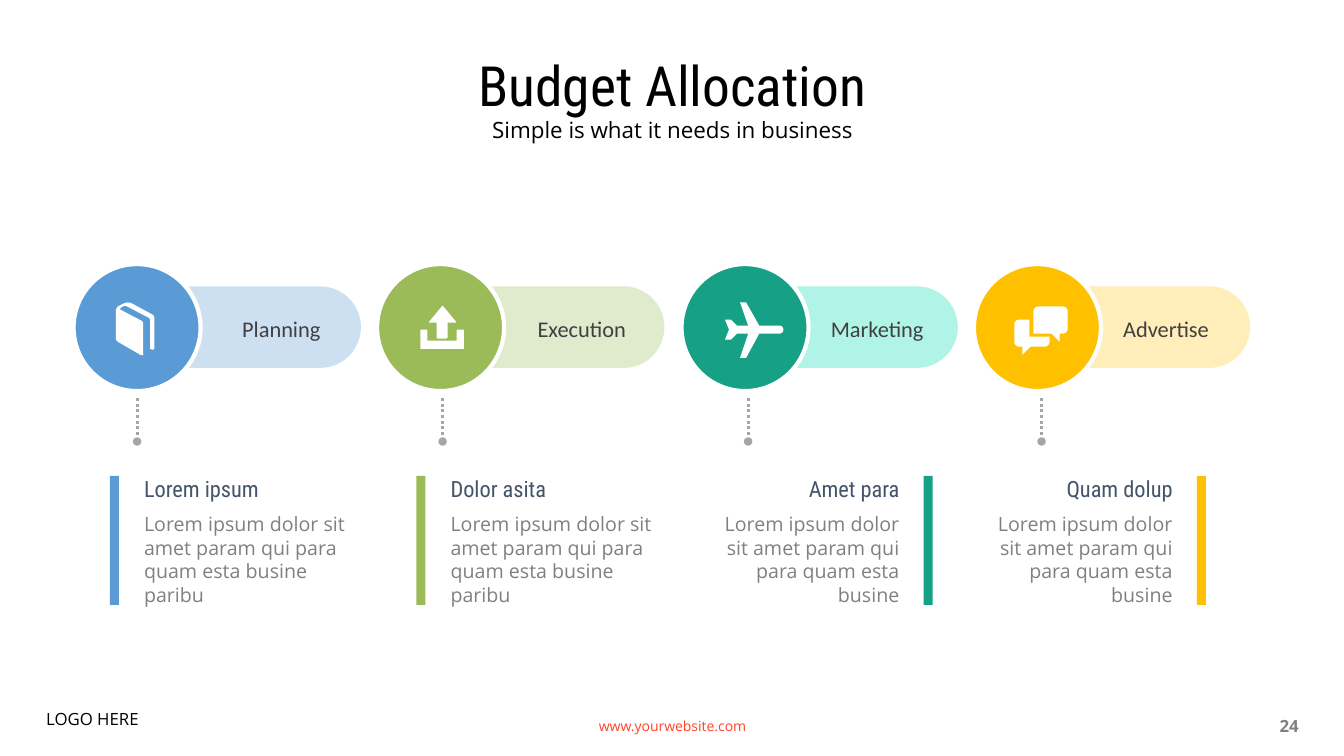
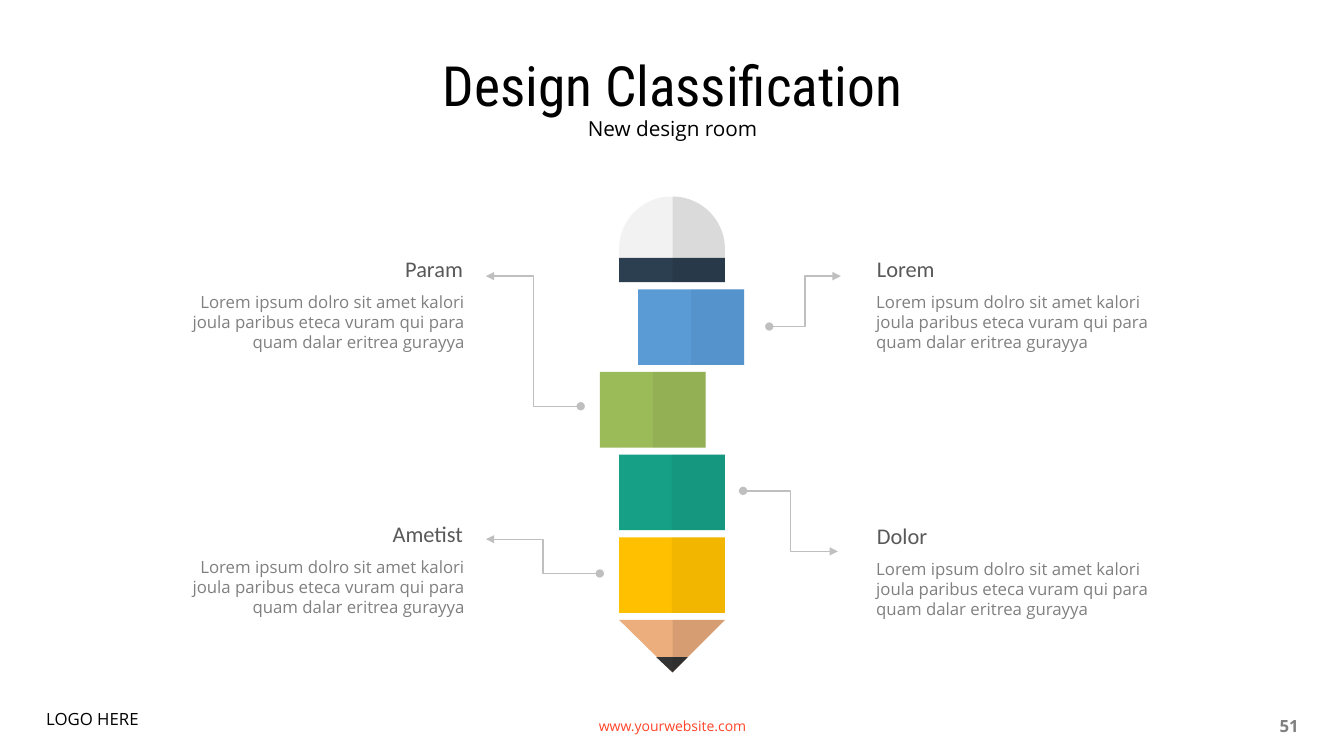
from math import dist

from lxml import etree
from pptx import Presentation
from pptx.dml.color import RGBColor
from pptx.enum.dml import MSO_LINE
from pptx.enum.shapes import MSO_CONNECTOR, MSO_SHAPE
from pptx.enum.text import MSO_ANCHOR, MSO_AUTO_SIZE, PP_ALIGN
from pptx.oxml.ns import qn
from pptx.util import Inches, Pt

LEFT, CENTER, RIGHT = PP_ALIGN.LEFT, PP_ALIGN.CENTER, PP_ALIGN.RIGHT
TOP, MIDDLE = MSO_ANCHOR.TOP, MSO_ANCHOR.MIDDLE
NO_FIT = MSO_AUTO_SIZE.NONE
RECTANGLE, OVAL = MSO_SHAPE.RECTANGLE, MSO_SHAPE.OVAL
ROUNDED = MSO_SHAPE.ROUNDED_RECTANGLE
STRAIGHT, ELBOW = MSO_CONNECTOR.STRAIGHT, MSO_CONNECTOR.ELBOW
DOTTED = MSO_LINE.ROUND_DOT

HEADING_FONT, BODY_FONT, LABEL_FONT = "Roboto Condensed", "Open Sans", "Calibri"

WHITE = RGBColor(0xFF, 0xFF, 0xFF)
BLACK = RGBColor(0x00, 0x00, 0x00)
NEAR_BLACK = RGBColor(0x0D, 0x0D, 0x0D)
LABEL_GRAY = RGBColor(0x40, 0x40, 0x40)
HEADING_GRAY = RGBColor(0x59, 0x59, 0x59)
BODY_GRAY = RGBColor(0x80, 0x80, 0x80)
DOT_GRAY = RGBColor(0xA6, 0xA6, 0xA6)
ARROW_GRAY = RGBColor(0xBF, 0xBF, 0xBF)
SLATE = RGBColor(0x44, 0x54, 0x6A)
LINK_RED = RGBColor(0xFF, 0x44, 0x29)
BLUE = RGBColor(0x5B, 0x9B, 0xD5)
GREEN = RGBColor(0x9B, 0xBB, 0x59)
TEAL = RGBColor(0x16, 0xA0, 0x85)
YELLOW = RGBColor(0xFF, 0xC0, 0x00)
PALE_BLUE = RGBColor(0x9D, 0xC3, 0xE6)
PALE_GREEN = RGBColor(0xC3, 0xD6, 0x9B)
PALE_TEAL = RGBColor(0x52, 0xE7, 0xCA)
PALE_YELLOW = RGBColor(0xFF, 0xD9, 0x66)
DARK_BLUE = RGBColor(0x1F, 0x4E, 0x79)
DARK_GREEN = RGBColor(0x4F, 0x62, 0x28)
DARK_TEAL = RGBColor(0x0B, 0x50, 0x43)
DARK_YELLOW = RGBColor(0x80, 0x60, 0x00)
ERASER = RGBColor(0xF2, 0xF2, 0xF2)
FERRULE = RGBColor(0x2C, 0x3F, 0x50)
WOOD = RGBColor(0xEC, 0xAE, 0x7D)
LEAD = RGBColor(0x33, 0x33, 0x33)

BOOK = [[
    (1.53, 3.13, 0.02), (1.27, 2.99, 0.04), (1.15, 3.05, 0.03), (1.15, 3.38, 0.02),
    (1.41, 3.53, 0.02), (1.42, 3.52), (1.42, 3.19, 0.02), (1.19, 3.07),
    (1.2, 3.05), (1.24, 3.03, 0.02), (1.49, 3.16, 0.02), (1.49, 3.46),
    (1.51, 3.47), (1.53, 3.46),
]]
UPLOAD = [
    [(4.17, 3.27), (4.24, 3.27), (4.24, 3.38), (4.53, 3.38), (4.53, 3.27),
     (4.6, 3.27), (4.6, 3.46), (4.17, 3.46)],
    [(4.39, 3.03, 0.01), (4.53, 3.2, 0.01), (4.44, 3.2), (4.44, 3.36, 0.02),
     (4.33, 3.36, 0.02), (4.33, 3.2), (4.25, 3.2, 0.01)],
]
PLANE = [[
    (7.34, 3.55), (7.4, 3.55), (7.53, 3.31), (7.77, 3.31, 0.04), (7.77, 3.23, 0.04),
    (7.53, 3.23), (7.4, 3), (7.34, 3), (7.42, 3.23), (7.31, 3.23), (7.25, 3.17),
    (7.19, 3.17), (7.23, 3.27), (7.19, 3.37), (7.25, 3.37), (7.31, 3.31), (7.42, 3.31),
]]
CHAT = [
    [(10.25, 3.04, 0.05), (10.59, 3.04, 0.05), (10.59, 3.31, 0.05), (10.51, 3.31),
     (10.51, 3.39), (10.43, 3.31), (10.25, 3.31)],
    [(10.06, 3.17, 0.05), (10.21, 3.17), (10.21, 3.34), (10.41, 3.34),
     (10.41, 3.44, 0.05), (10.22, 3.44), (10.14, 3.52), (10.14, 3.44),
     (10.06, 3.44, 0.05)],
]

LONG_TEXT = "Lorem ipsum dolor sit amet param qui para quam esta busine paribu"
SHORT_TEXT = "Lorem ipsum dolor sit amet param qui para quam esta busine"
CALLOUT_TEXT = ("Lorem ipsum dolro sit amet kalori joula paribus eteca vuram qui para "
                "quam dalar eritrea gurayya")


def paint(shape, color, opacity=100):
    shape.shadow.inherit = False
    shape.fill.solid()
    shape.fill.fore_color.rgb = color
    shape.line.fill.background()
    if opacity < 100:
        tone = shape.fill._xPr.find(qn("a:solidFill")).find(qn("a:srgbClr"))
        etree.SubElement(tone, qn("a:alpha")).set("val", str(opacity * 1000))
    return shape


def add_block(page, kind, left, top, width, height, color, opacity=100):
    shape = page.shapes.add_shape(kind, Inches(left), Inches(top), Inches(width), Inches(height))
    return paint(shape, color, opacity)


def round_corners(vertices):
    points = []
    for index, (x, y, *rest) in enumerate(vertices):
        if not rest:
            points.append((x, y))
            continue
        ends = []
        for neighbour in (vertices[index - 1], vertices[(index + 1) % len(vertices)]):
            share = rest[0] / dist(neighbour[:2], (x, y))
            ends.append((x + (neighbour[0] - x) * share, y + (neighbour[1] - y) * share))
        steps = 24 if rest[0] > 0.1 else 6
        for step in range(steps + 1):
            t = step / steps
            start = (1 - t) ** 3 + 1.35 * (1 - t) ** 2 * t
            finish = t ** 3 + 1.35 * (1 - t) * t ** 2
            middle = 1 - start - finish
            points.append(tuple(start * a + middle * v + finish * b
                                for a, v, b in zip(ends[0], (x, y), ends[1])))
    return [(Inches(x), Inches(y)) for x, y in points]


def add_outline(page, contours, color, opacity=100):
    builder = None
    for contour in contours:
        first, *others = round_corners(contour)
        if builder is None:
            builder = page.shapes.build_freeform(*first)
        else:
            builder.move_to(*first)
        builder.add_line_segments(others, close=True)
    return paint(builder.convert_to_shape(), color, opacity)


def write(box, text, font, size, color, align=LEFT, anchor=TOP, spacing=1.0, bold=False):
    frame = box.text_frame
    frame.word_wrap = True
    frame.auto_size = NO_FIT
    frame.vertical_anchor = anchor
    para = frame.paragraphs[0]
    para.alignment = align
    para.line_spacing = spacing
    para.space_before = Pt(0)
    span = para.add_run()
    span.text = text
    span.font.name = font
    span.font.size = Pt(size)
    span.font.bold = bold
    span.font.color.rgb = color


def add_text(page, left, top, width, height, *content, inset=None, **style):
    box = page.shapes.add_textbox(Inches(left), Inches(top), Inches(width), Inches(height))
    if inset is not None:
        frame = box.text_frame
        frame.margin_left = Inches(inset)
        frame.margin_top = frame.margin_right = frame.margin_bottom = 0
    write(box, *content, **style)


def add_line(page, kind, start, end, color, width, tail, head=None, dash=None):
    line = page.shapes.add_connector(kind, *(Inches(value) for value in start + end))
    line.line.color.rgb = color
    line.line.width = Pt(width)
    if dash:
        line.line.dash_style = dash
    outline = line.line._get_or_add_ln()
    for tag, form in (("a:headEnd", head), ("a:tailEnd", tail)):
        if form:
            etree.SubElement(outline, qn(tag)).set("type", form)
    etree.SubElement(line._element.spPr, qn("a:effectLst"))


def add_page(deck, title, subtitle, subtitle_size, number):
    page = deck.slides.add_slide(deck.slide_layouts[0])
    heading, subheading = page.placeholders
    for holder, top, height in ((heading, 0.62, 0.52), (subheading, 1.15, 0.32)):
        holder.left, holder.top = Inches(0.92), Inches(top)
        holder.width, holder.height = Inches(11.5), Inches(height)
    write(heading, title, HEADING_FONT, 39.6, BLACK, CENTER, MIDDLE, 0.9)
    write(subheading, subtitle, BODY_FONT, subtitle_size, BLACK, CENTER, spacing=0.8)
    add_text(page, 4.42, 7, 4.5, 0.4, "www.yourwebsite.com", BODY_FONT, 10, LINK_RED,
             CENTER, MIDDLE)
    add_text(page, 9.83, 7, 3.15, 0.4, number, BODY_FONT, 12, BODY_GRAY,
             RIGHT, MIDDLE, bold=True)
    add_text(page, 0.36, 7, 4.17, 0.43, "LOGO HERE", BODY_FONT, 12, BLACK, spacing=0.9)
    return page


def add_step(page, pill, circle_left, label, label_box, align, color, icon):
    left, right, pale, opacity = pill
    capsule = add_block(page, ROUNDED, left, 2.84, right - left, 0.81, pale, opacity)
    capsule.adjustments[0] = 0.5
    circle = add_block(page, OVAL, circle_left, 2.62, 1.26, 1.26, color)
    circle.line.color.rgb = WHITE
    circle.line.width = Pt(3)
    label_left, label_width = label_box
    add_text(page, label_left, 3.07, label_width, 0.42, label, LABEL_FONT, 16, LABEL_GRAY,
             align, MIDDLE, 0.9, inset=0.05)
    add_outline(page, icon, WHITE)
    add_line(page, STRAIGHT, (left, 3.95), (left, 4.38), DOT_GRAY, 2, "oval", dash=DOTTED)


def add_caption(page, bar_left, color, heading, text, align):
    add_block(page, RECTANGLE, bar_left, 4.72, 0.09, 1.28, color)
    width = 2.22 if align == LEFT else 2.07
    left = bar_left + 0.24 if align == LEFT else bar_left - 0.14 - width
    add_text(page, left, 4.66, width, 0.37, heading, HEADING_FONT, 16, SLATE, align)
    add_text(page, left, 5.03, width, 1.04, text, BODY_FONT, 14, BODY_GRAY, align)


def add_callout(page, heading, top, align, start, end):
    heading_left, text_left = (8.6, 8.69) if align == LEFT else (2.49, 1.7)
    add_line(page, ELBOW, start, end, ARROW_GRAY, 1, "triangle", head="oval")
    add_text(page, heading_left, top, 2.2, 0.29, heading, LABEL_FONT, 16, HEADING_GRAY,
             align, MIDDLE)
    add_text(page, text_left, top + 0.37, 2.91, 0.61, CALLOUT_TEXT, BODY_FONT, 12,
             BODY_GRAY, align, inset=0)


def add_pencil(page):
    left, width, middle, right = 6.14, 1.05, 6.67, 7.19
    first_top, pitch, height = 2.87, 0.82, 0.75
    add_outline(page, [[(left, 1.95, 0.52), (right, 1.95, 0.52), (right, 2.61),
                        (left, 2.61)]], ERASER)
    add_block(page, RECTANGLE, left, 2.56, width, 0.24, FERRULE)
    add_outline(page, [[(middle, 1.95), (right, 1.95, 0.52), (right, 2.8),
                        (middle, 2.8)]], NEAR_BLACK, 10)
    segments = [(0.19, BLUE, DARK_BLUE), (-0.19, GREEN, DARK_GREEN),
                (0, TEAL, DARK_TEAL), (0, YELLOW, DARK_YELLOW)]
    for index, (shift, color, shade) in enumerate(segments):
        top = first_top + index * pitch
        add_block(page, RECTANGLE, left + shift, top, width, height, color)
        add_block(page, RECTANGLE, left + shift + width / 2, top, width / 2, height, shade, 10)
    tip_top, tip_end = first_top + len(segments) * pitch, 6.67
    add_outline(page, [[(left, tip_top), (right, tip_top), (middle, tip_end)]], WOOD)
    add_outline(page, [[(6.51, 6.52), (6.82, 6.52), (middle, tip_end)]], LEAD)
    add_outline(page, [[(middle, tip_top), (right, tip_top), (middle, tip_end)]],
                NEAR_BLACK, 10)


def build_budget(deck):
    page = add_page(deck, "Budget Allocation", "Simple is what it needs in business", 16, "24")
    steps = [
        ((1.36, 3.58, PALE_BLUE, 50), 0.73, "Planning", (2.07, 1.39), CENTER, BLUE, BOOK),
        ((4.39, 6.59, PALE_GREEN, 50), 3.74, "Execution", (5.21, 1.07), CENTER, GREEN, UPLOAD),
        ((7.42, 9.5, PALE_TEAL, 45), 6.76, "Marketing", (8.19, 1.07), LEFT, TEAL, PLANE),
        ((10.33, 12.4, PALE_YELLOW, 45), 9.66, "Advertise", (11.09, 1.07), LEFT, YELLOW, CHAT),
    ]
    captions = [
        (1.09, BLUE, "Lorem ipsum", LONG_TEXT, LEFT),
        (4.13, GREEN, "Dolor asita", LONG_TEXT, LEFT),
        (9.16, TEAL, "Amet para", SHORT_TEXT, RIGHT),
        (11.87, YELLOW, "Quam dolup", SHORT_TEXT, RIGHT),
    ]
    for step in steps:
        add_step(page, *step)
    for caption in captions:
        add_caption(page, *caption)


def build_design(deck):
    page = add_page(deck, "Design Classification", "New design room", 14.8, "51")
    add_pencil(page)
    callouts = [
        ("Param", 2.52, RIGHT, (5.76, 4.03), (4.82, 2.74)),
        ("Ametist", 5.15, RIGHT, (5.95, 5.69), (4.82, 5.35)),
        ("Lorem", 2.52, LEFT, (7.63, 3.24), (8.34, 2.74)),
        ("Dolor", 5.17, LEFT, (7.37, 4.87), (8.31, 5.47)),
    ]
    for callout in callouts:
        add_callout(page, *callout)


def main():
    deck = Presentation()
    deck.slide_width, deck.slide_height = Inches(13.33), Inches(7.5)
    build_budget(deck)
    build_design(deck)
    deck.save("out.pptx")


if __name__ == "__main__":
    main()
